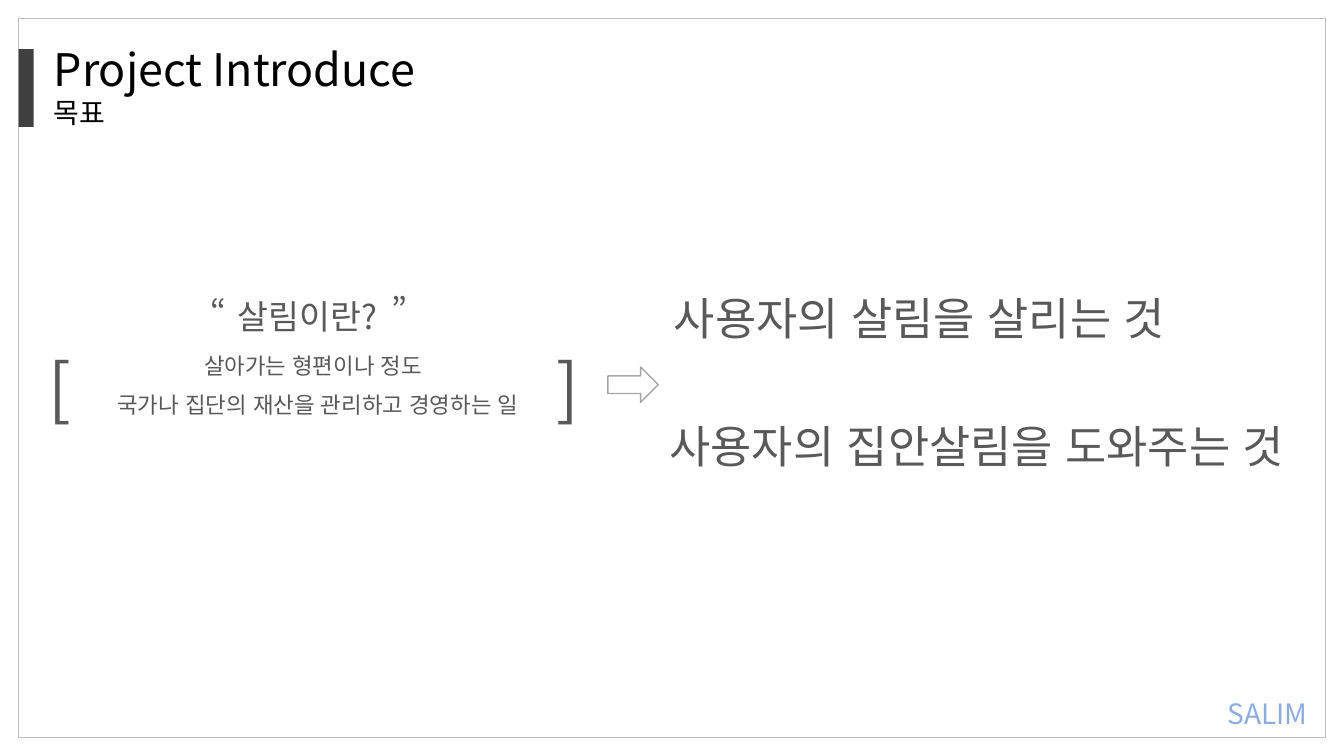
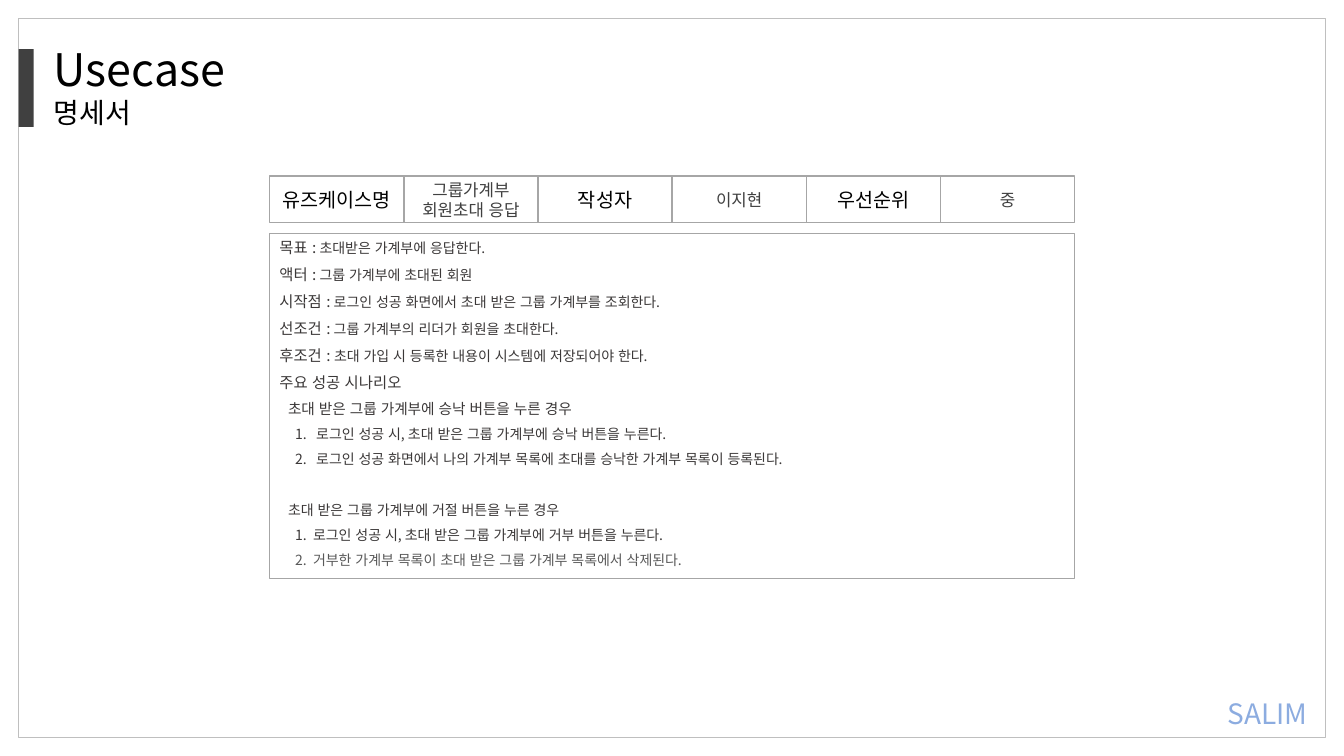
from lxml.etree import SubElement
from pptx import Presentation
from pptx.dml.color import RGBColor
from pptx.enum.lang import MSO_LANGUAGE_ID
from pptx.enum.shapes import MSO_SHAPE
from pptx.enum.text import MSO_ANCHOR, MSO_AUTO_SIZE, PP_ALIGN
from pptx.oxml.ns import qn
from pptx.util import Cm, Pt

FONT = "Noto Sans CJK KR"
COLORS = {
    "title": "000000",
    "text": "595959",
    "value": "404040",
    "spec": "3B3838",
    "bar": "404040",
    "frame": "BFBFBF",
    "line": "A6A6A6",
    "brand_start": "8CACE0",
    "brand_end": "FED3DC",
}

DEFINITION = [
    ("“", 24, (3.96, 7.21, 3.1, 1.27)),
    ("살림이란?", 24, (5.72, 7.32, 4.06, 1.27)),
    ("”", 24, (8.84, 7.16, 2.44, 1.27)),
    ("살아가는 형편이나 정도", 16, (1.91, 8.76, 11.96, 0.94)),
    ("국가나 집단의 재산을 관리하고 경영하는 일", 16, (1.73, 9.73, 12.57, 0.94)),
    ("[", 48, (0.33, 8.61, 2.34, 2.31)),
    ("]", 48, (13.64, 8.59, 1.35, 2.31)),
    ("사용자의 살림을 살리는 것", 32, (15.04, 7.19, 16.28, 1.63)),
]

SUMMARY = ["유즈케이스명", "그룹가계부\n회원초대 응답", "작성자", "이지현", "우선순위", "중"]

FIELDS = [
    ("목표 :", " 초대받은 가계부에 응답한다."),
    ("액터 :", " 그룹 가계부에 초대된 회원"),
    ("시작점 :", " 로그인 성공 화면에서 초대 받은 그룹 가계부를 조회한다."),
    ("선조건 :", " 그룹 가계부의 리더가 회원을 초대한다."),
    ("후조건 : ", "초대 가입 시 등록한 내용이 시스템에 저장되어야 한다."),
    ("주요 성공 시나리오", ""),
]

SCENARIOS = [
    ("초대 받은 그룹 가계부에 승낙 버튼을 누른 경우", 10.5, 6, 0.93, [
        ("로그인 성공 시, 초대 받은 그룹 가계부에 승낙 버튼을 누른다.", "spec"),
        ("로그인 성공 화면에서 나의 가계부 목록에 초대를 승낙한 가계부 목록이 등록된다.", "spec"),
    ]),
    ("초대 받은 그룹 가계부에 거절 버튼을 누른 경우", 10, 24, 0.85, [
        ("로그인 성공 시, 초대 받은 그룹 가계부에 거부 버튼을 누른다.", "spec"),
        ("거부한 가계부 목록이 초대 받은 그룹 가계부 목록에서 삭제된다.", "text"),
    ]),
]


def rgb(name):
    return RGBColor.from_string(COLORS[name])


def set_font(font, size=None, color=None):
    font.name = FONT
    font.language_id = MSO_LANGUAGE_ID.KOREAN
    SubElement(font._rPr, qn("a:ea")).set("typeface", FONT)
    if size:
        font.size = Pt(size)
    if color:
        font.color.rgb = rgb(color)


def add_run(p, text):
    r = p.add_run()
    r.text = text
    r.font.language_id = MSO_LANGUAGE_ID.KOREAN
    return r


def add_box(s, kind, at, fill=None, line=None, width=1):
    sp = s.shapes.add_shape(kind, *map(Cm, at))
    sp.shadow.inherit = False
    if fill:
        sp.fill.solid()
        sp.fill.fore_color.rgb = rgb(fill)
    else:
        sp.fill.background()
    if line:
        sp.line.color.rgb = rgb(line)
        sp.line.width = Pt(width)
    else:
        sp.line.fill.background()
    return sp


def add_text(s, text, size, at, color="text", align=PP_ALIGN.CENTER):
    tf = s.shapes.add_textbox(*map(Cm, at)).text_frame
    tf.word_wrap = True
    p = tf.paragraphs[0]
    add_run(p, text)
    p.alignment = align
    set_font(p.font, size, color)
    return p


def add_brand(s):
    p = add_text(s, "SALIM", 20, (30.49, 17.43, 2.9, 1.12), None)
    fill = p.runs[0].font.fill
    fill.gradient()
    fill.gradient_angle = 225
    stops = ((0.05, "brand_start"), (0.84, "brand_end"))
    for stop, (position, color) in zip(fill.gradient_stops, stops):
        stop.position = position
        stop.color.rgb = rgb(color)


def add_slide(prs, title, subtitle):
    s = prs.slides.add_slide(prs.slide_layouts[5])
    add_box(s, MSO_SHAPE.RECTANGLE, (0.47, 0.47, 32.93, 18.12), line="frame")
    add_box(s, MSO_SHAPE.RECTANGLE, (0.47, 1.24, 0.38, 1.96), fill="bar")
    sp = s.shapes.title
    sp.left, sp.top, sp.width, sp.height = map(Cm, (1.1, 0.92, 13.49, 2.49))
    tf = sp.text_frame
    tf.text = f"{title}\n{subtitle}"
    tf.auto_size = MSO_AUTO_SIZE.NONE
    tf.vertical_anchor = MSO_ANCHOR.TOP
    for p, size in zip(tf.paragraphs, (32, 20)):
        p.alignment = PP_ALIGN.LEFT
        set_font(p.font, size, "title")
    add_brand(s)
    return s


def add_summary(s, texts):
    width = 3.38
    for i, text in enumerate(texts):
        at = (6.8 + i * width, 4.44, width, 1.17)
        sp = add_box(s, MSO_SHAPE.RECTANGLE, at, line="line")
        tf = sp.text_frame
        tf.vertical_anchor = MSO_ANCHOR.MIDDLE
        for j, line in enumerate(text.split("\n")):
            p = tf.add_paragraph() if j else tf.paragraphs[0]
            add_run(p, line)
            p.alignment = PP_ALIGN.CENTER
            if i % 2:
                set_font(p.font, 12, "value")
            else:
                set_font(p.font, 14, "title")


def add_line(tf, before=6, left=0, hanging=0):
    p = tf.paragraphs[0]
    if p.runs:
        p = tf.add_paragraph()
        p.space_before = Pt(before)
    p.alignment = PP_ALIGN.LEFT
    pPr = p._p.get_or_add_pPr()
    pPr.set("marL", str(Cm(left)))
    pPr.set("indent", str(-Cm(hanging)))
    return p


def add_specification(s):
    at = (6.79, 5.88, 20.29, 8.69)
    sp = add_box(s, MSO_SHAPE.RECTANGLE, at, line="line", width=0.75)
    tf = sp.text_frame
    tf.word_wrap = True
    tf.vertical_anchor = MSO_ANCHOR.TOP
    for label, value in FIELDS:
        p = add_line(tf)
        set_font(p.font, color="spec")
        for text, size in ((label, 11), (value, 10)):
            if text:
                add_run(p, text).font.size = Pt(size)
    for heading, size, before, left, steps in SCENARIOS:
        p = add_line(tf, before, left=0.22)
        add_run(p, heading)
        set_font(p.font, size, "spec")
        for number, (step, color) in enumerate(steps, 1):
            p = add_line(tf, left=left, hanging=left - 0.4)
            add_run(p, f"{number}.\t{step}")
            set_font(p.font, 10, color)


def main():
    prs = Presentation()
    prs.slide_width, prs.slide_height = Cm(33.87), Cm(19.05)

    s = add_slide(prs, "Project Introduce", "목표")
    for text, size, at in DEFINITION:
        add_text(s, text, size, at)
    add_text(s, "사용자의 집안살림을 도와주는 것", 32,
             (16.62, 10.43, 16.31, 1.63), align=PP_ALIGN.LEFT)
    add_box(s, MSO_SHAPE.RIGHT_ARROW, (15.32, 9.25, 1.27, 0.89), line="line")

    s = add_slide(prs, "Usecase", "명세서")
    add_summary(s, SUMMARY)
    add_specification(s)

    prs.save("out.pptx")


if __name__ == "__main__":
    main()
